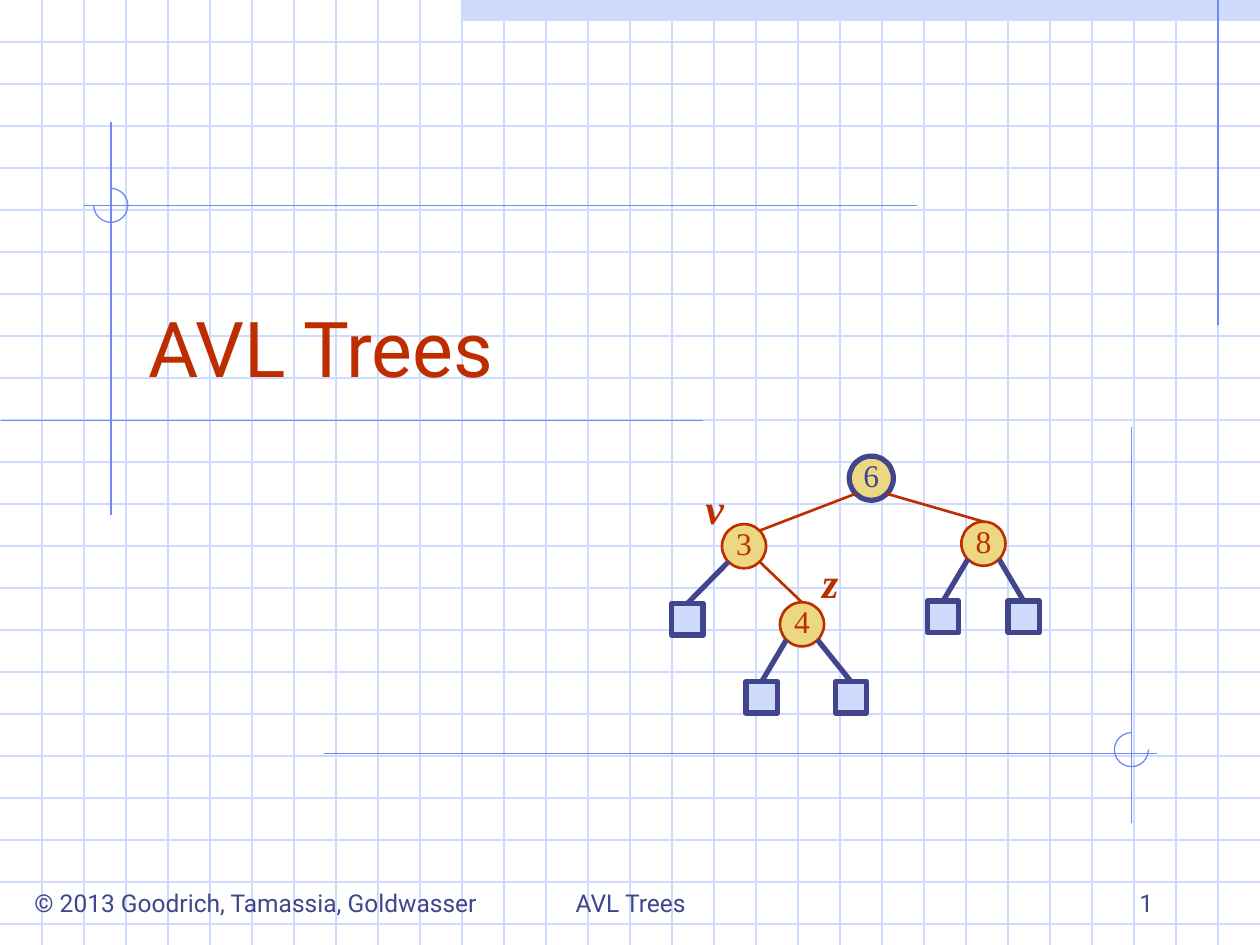
from math import cos, pi

from lxml.etree import SubElement
from pptx import Presentation
from pptx.dml.color import RGBColor
from pptx.enum.shapes import MSO_CONNECTOR as CONN, MSO_SHAPE as SHAPE
from pptx.enum.text import MSO_ANCHOR as ANCHOR, PP_ALIGN as ALIGN
from pptx.oxml.ns import qn
from pptx.util import Inches, Pt

PALE, BLUE, NAVY, RED, GOLD = "CFDBFD", "6F89F7", "40458C", "BE2D00", "ECD882"
SANS, SERIF = "Roboto", "Times New Roman"
WIDTH, HEIGHT, CELL = 10, 7.5, 1 / 3
NODE, LEAF = 0.35, 0.25


def rgb(value):
    """Turn a hex string into a colour."""
    return RGBColor.from_string(value)


def add_line(s, start, end, color, width=0.75):
    """Draw a straight line without a shadow."""
    line = s.shapes.add_connector(CONN.STRAIGHT, *map(Inches, (*start, *end)))
    line.line.color.rgb = rgb(color)
    line.line.width = Pt(width)
    SubElement(line._element.spPr, qn("a:effectLst"))
    return line


def add_preset(s, kind, box, fill, line=None, width=0.75):
    """Draw a preset shape with an optional fill and outline."""
    sp = s.shapes.add_shape(kind, *map(Inches, box))
    sp.shadow.inherit = False
    if fill:
        sp.fill.solid()
        sp.fill.fore_color.rgb = rgb(fill)
    else:
        sp.fill.background()
    if line:
        sp.line.color.rgb = rgb(line)
        sp.line.width = Pt(width)
    else:
        sp.line.fill.background()
    return sp


def write(sp, text, size, font, color, align=ALIGN.CENTER, anchor=ANCHOR.TOP, wrap=True):
    """Set the text of a shape and return its font."""
    tf = sp.text_frame
    tf.text = text
    tf.word_wrap = wrap
    tf.vertical_anchor = anchor
    p = tf.paragraphs[0]
    p.alignment = align
    f = p.runs[0].font
    f.name, f.size, f.color.rgb = font, Pt(size), rgb(color)
    return f


def add_text(s, box, *args, **kwargs):
    """Add a text box and return its font."""
    return write(s.shapes.add_textbox(*map(Inches, box)), *args, **kwargs)


def add_grid(s, left, top, width, height):
    """Cover the box with evenly spaced grid lines."""
    add_preset(s, SHAPE.RECTANGLE, (left + 11 * CELL, top, width - 11 * CELL, CELL / 2), PALE)
    for i in range(1, int(height / CELL) + 1):
        y = top + i * CELL
        add_line(s, (left, y), (left + width, y), PALE)
    for i in range(1, round(width / CELL)):
        x = left + i * CELL
        add_line(s, (x, top), (x, top + height), PALE)


def add_cross(s, x, y, across, down, angles):
    """Draw two crossing lines with a three-quarter arc around (x, y)."""
    for start, end in (across, down):
        add_line(s, start, end, BLUE)
    size = 0.27
    arc = add_preset(s, SHAPE.ARC, (x - size / 2, y - size / 2, size, size), None, BLUE)
    for i, angle in enumerate(angles):
        arc.adjustments[i] = angle * 0.6


def add_rules(s, left, top, width):
    """Draw the blue construction lines."""
    add_line(s, (left + width - CELL, top), (left + width - CELL, top + 2.58), BLUE)
    add_line(s, (left + 0.01, top + 3.34), (left + 5.58, top + 3.34), BLUE)
    x = left + 0.88
    add_cross(s, x, top + 1.63, ((left + 0.67, top + 1.63), (left + 7.28, top + 1.63)),
              ((x, top + 0.97), (x, top + 4.09)), (270, 180))
    x = left + 8.98
    add_cross(s, x, top + 5.95, ((left + 2.57, top + 5.98), (left + 9.18, top + 5.98)),
              ((x, top + 3.39), (x, top + 6.53)), (0, 270))


def add_node(s, x, y, key, color, width):
    """Draw a round tree node holding its key."""
    sp = add_preset(s, SHAPE.OVAL, (x, y, NODE, NODE), GOLD, color, width)
    write(sp, key, 18, SERIF, color, anchor=ANCHOR.MIDDLE, wrap=False)
    tf = sp.text_frame
    tf.margin_left = tf.margin_right = tf.margin_top = 0
    tf.margin_bottom = Inches(0.05)
    return sp


def add_tree(s, left, top):
    """Draw the search tree with its leaves, edges and labels."""
    reach = NODE / 2 * cos(pi / 4)
    spots = {"6": (1.41, 0), "3": (0.4, 0.54), "8": (2.3, 0.52), "4": (0.86, 1.16)}
    leaves = [("3", -1, 0, 1.17), ("8", -1, 2.03, 1.15), ("8", 1, 2.67, 1.15),
              ("4", -1, 0.59, 1.79), ("4", 1, 1.3, 1.79)]

    def corner(key, side, rise=1):
        """Find the diagonal point on the rim of a node."""
        x, y = spots[key]
        return (left + x + NODE / 2 + side * reach, top + y + NODE / 2 + rise * reach)

    nodes = {}
    for key, (x, y) in spots.items():
        color, width = (NAVY, 3) if key == "6" else (RED, 1.5)
        nodes[key] = add_node(s, left + x, top + y, key, color, width)
    add_line(s, corner("6", -1), corner("3", 1, -1), RED, 1.5)
    for parent, child in (("6", "8"), ("3", "4")):
        start = corner(parent, 1)
        add_line(s, start, start, RED, 1.5).end_connect(nodes[child], 0)
    for parent, side, x, y in leaves:
        leaf = add_preset(s, SHAPE.RECTANGLE, (left + x, top + y, LEAF, LEAF), PALE, NAVY, 3)
        start = corner(parent, side)
        add_line(s, start, start, NAVY, 3).end_connect(leaf, 0)
    for label, x, y in (("v", 0.17, 0.16), ("z", 1.09, 0.75)):
        f = add_text(s, (left + x, top + y, 0.34, 0.5), label, 24, SERIF, RED)
        f.bold = f.italic = True


def add_footer(s, left, top):
    """Write the copyright line, the topic and the page number."""
    style = (14, SANS, NAVY)
    add_text(s, (left, top + 0.17, 3.88, 0.34), "© 2013 Goodrich, Tamassia, Goldwasser",
             *style, wrap=False)
    add_text(s, (left + 3.33, top, 3.17, 0.5), "AVL Trees", *style, anchor=ANCHOR.BOTTOM)
    add_text(s, (left + 7.08, top, 2.08, 0.5), "1", *style, ALIGN.RIGHT, ANCHOR.BOTTOM)


def main():
    """Build the title slide."""
    prs = Presentation()
    prs.slide_width, prs.slide_height = Inches(WIDTH), Inches(HEIGHT)
    s = prs.slides.add_slide(prs.slide_layouts[6])
    add_grid(s, 0, 0, WIDTH, HEIGHT)
    add_rules(s, 0, 0, WIDTH)
    add_footer(s, 0.09, 6.83)
    add_text(s, (1.08, 1.92, 4.83, 1.25), "AVL Trees", 44, SANS, RED, ALIGN.LEFT, ANCHOR.BOTTOM)
    add_tree(s, 5.33, 3.62)
    prs.save("out.pptx")


if __name__ == "__main__":
    main()
